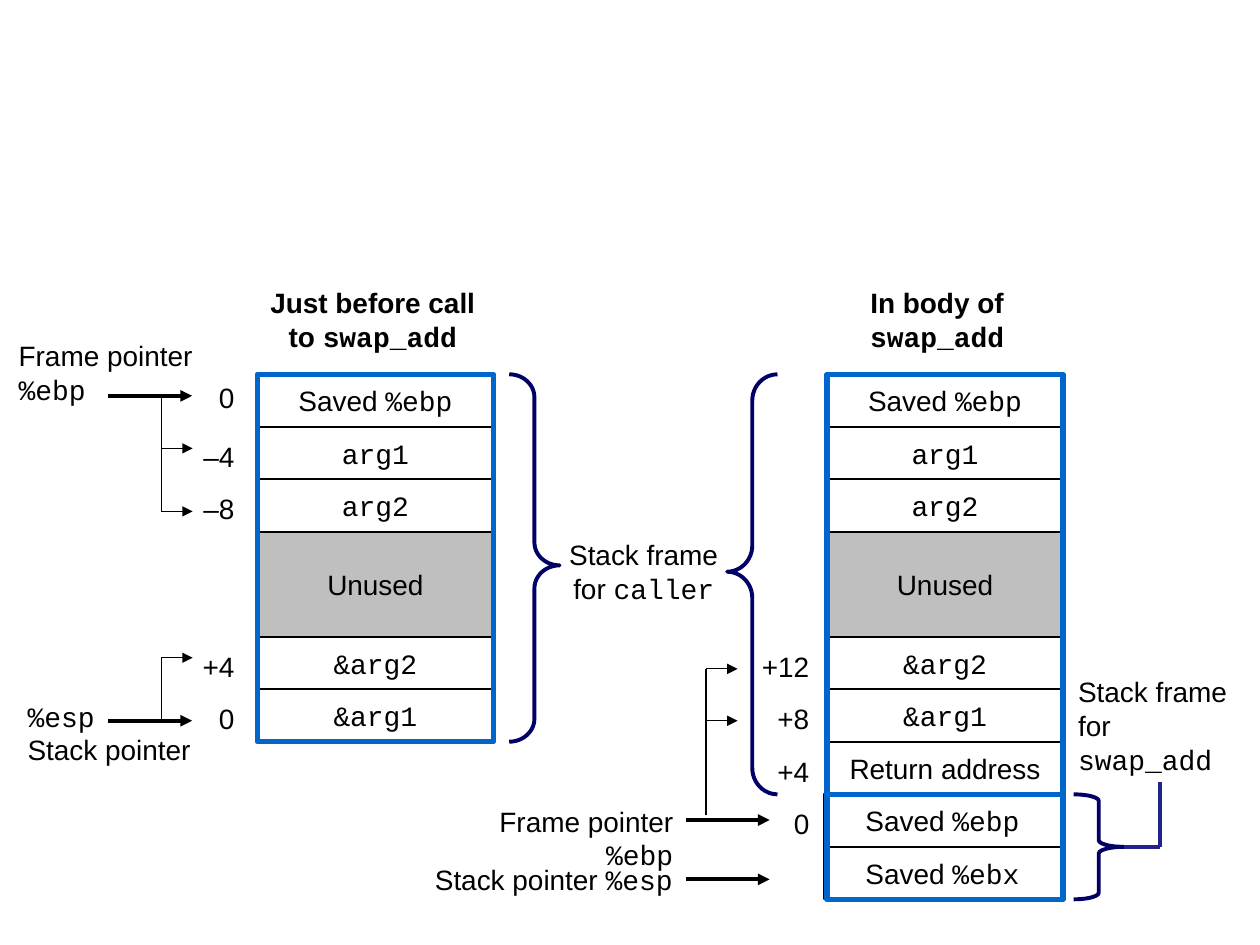
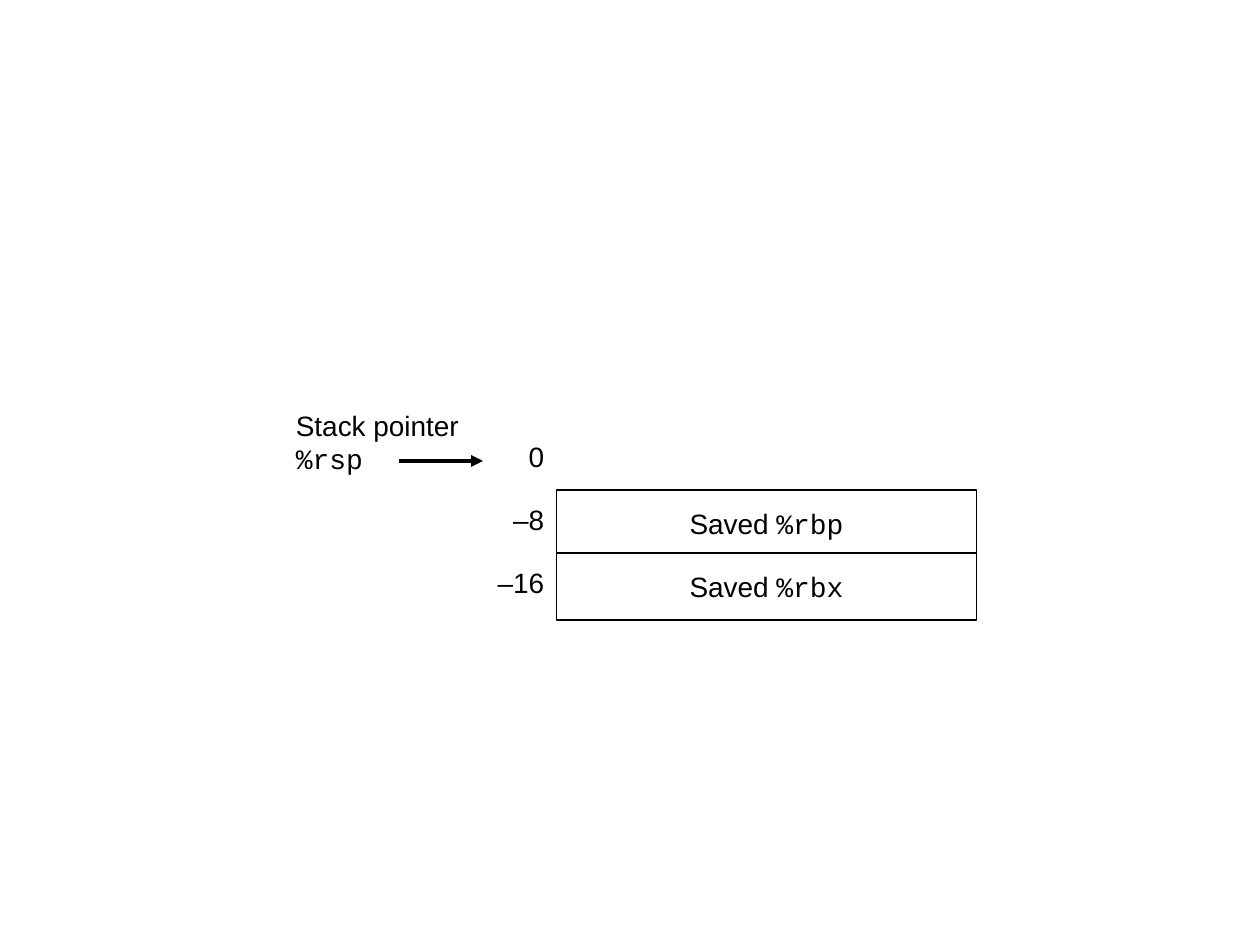
from dataclasses import dataclass
from typing import NamedTuple, Optional

from lxml import etree
from pptx import Presentation
from pptx import util as u
from pptx.dml.color import RGBColor
from pptx.enum import shapes, text
from pptx.oxml.ns import qn

BLACK = RGBColor(0x00, 0x00, 0x00)
WHITE = RGBColor(0xFF, 0xFF, 0xFF)
GREY = RGBColor(0xBF, 0xBF, 0xBF)
BLUE = RGBColor(0x00, 0x66, 0xCC)
NAVY = RGBColor(0x00, 0x00, 0x66)
INDIGO = RGBColor(0x22, 0x22, 0x8B)

BODY_FONT, CODE_FONT = "Arial", "Courier New"
FONT_SIZE = u.Pt(16)
SLIDE_WIDTH, SLIDE_HEIGHT = u.Inches(10), u.Inches(7.5)
COLUMNS, ROWS = 24, 18
STACK_TOP = 7.13
STACK_WIDTH = 4.5
POINTER_LENGTH, BRANCH_LENGTH = 1.6, 0.6
BRACE_WIDTH = 0.96
LEFT, CENTER, RIGHT = text.PP_ALIGN.LEFT, text.PP_ALIGN.CENTER, text.PP_ALIGN.RIGHT


class Cell(NamedTuple):
    words: str
    rows: int = 1
    fill: RGBColor = WHITE


@dataclass
class Stack:
    left: float
    top: float
    cells: list[Cell]
    width: float = STACK_WIDTH
    pitch: float = 1
    overlap: float = 0


@dataclass
class Label:
    words: str
    left: float
    top: float
    width: float
    lines: int = 1
    align: text.PP_ALIGN = LEFT
    bold: bool = False
    wrap: bool = True


class Line(NamedTuple):
    start: tuple[float, float]
    end: tuple[float, float]
    weight: float = 0.75
    arrow: bool = False
    color: RGBColor = BLACK


class Brace(NamedTuple):
    preset: shapes.MSO_SHAPE
    left: float
    top: float
    rows: float
    tip: float


CALLER_CELLS = [
    Cell("Saved `%ebp`"), Cell("`arg1`"), Cell("`arg2`"),
    Cell("Unused", 2, GREY), Cell("`&arg2`"), Cell("`&arg1`"),
]
SWAP_ADD_TOP = STACK_TOP + 8
BEFORE_LEFT, BODY_LEFT = 4.9, 15.75


def x(columns: float) -> int:
    return round(SLIDE_WIDTH * columns / COLUMNS)


def y(rows: float) -> int:
    return round(SLIDE_HEIGHT * rows / ROWS)


def box(left: float, top: float, width: float, height: float) -> tuple[int, int, int, int]:
    return x(left), y(top), x(width), y(height)


def write(frame, words: str, align: text.PP_ALIGN, bold: bool = False) -> None:
    for number, line in enumerate(words.split("\n")):
        paragraph = frame.add_paragraph() if number else frame.paragraphs[0]
        paragraph.alignment = align
        for part, piece in enumerate(line.split("`")):
            if piece:
                run = paragraph.add_run()
                run.text = piece
                run.font.name = CODE_FONT if part % 2 else BODY_FONT
                run.font.size = FONT_SIZE
                run.font.bold = bold
                run.font.color.rgb = BLACK


def draw_shape(slide, preset: shapes.MSO_SHAPE, area: tuple[int, int, int, int],
               color: RGBColor, weight: float, fill: Optional[RGBColor] = None):
    shape = slide.shapes.add_shape(preset, *area)
    shape.shadow.inherit = False
    if fill is None:
        shape.fill.background()
    else:
        shape.fill.solid()
        shape.fill.fore_color.rgb = fill
    shape.line.color.rgb = color
    shape.line.width = u.Pt(weight)
    return shape


def draw_stack(slide, stack: Stack) -> None:
    top = stack.top
    for cell in stack.cells:
        height = cell.rows * stack.pitch
        area = box(stack.left, top, stack.width, height + stack.overlap)
        shape = draw_shape(slide, shapes.MSO_SHAPE.RECTANGLE, area, BLACK, 1, cell.fill)
        shape.text_frame.word_wrap = False
        shape.text_frame.vertical_anchor = text.MSO_ANCHOR.MIDDLE
        write(shape.text_frame, cell.words, CENTER)
        top += height


def draw_outline(slide, left: float, top: float, rows: float) -> None:
    area = box(left, top, STACK_WIDTH, rows)
    draw_shape(slide, shapes.MSO_SHAPE.RECTANGLE, area, BLUE, 3)


def draw_brace(slide, brace: Brace) -> None:
    area = box(brace.left, brace.top, BRACE_WIDTH, brace.rows)
    shape = draw_shape(slide, brace.preset, area, NAVY, 2.25)
    shape.adjustments[0] = brace.rows / BRACE_WIDTH / 16
    shape.adjustments[1] = brace.tip


def draw_label(slide, label: Label) -> None:
    height = 0.24 + 0.65 * label.lines
    frame = slide.shapes.add_textbox(
        *box(label.left, label.top, label.width, height)).text_frame
    frame.word_wrap = label.wrap
    frame.auto_size = text.MSO_AUTO_SIZE.SHAPE_TO_FIT_TEXT
    write(frame, label.words, label.align, label.bold)


def draw_offsets(slide, left: float, width: float, offsets: dict[str, float]) -> None:
    for words, top in offsets.items():
        draw_label(slide, Label(words, left, top, width, align=RIGHT))


def draw_line(slide, line: Line) -> None:
    connector = slide.shapes.add_connector(
        shapes.MSO_CONNECTOR.STRAIGHT,
        x(line.start[0]), y(line.start[1]), x(line.end[0]), y(line.end[1]))
    connector.line.color.rgb = line.color
    connector.line.width = u.Pt(line.weight)
    properties = connector._element.spPr
    if line.arrow:
        outline = properties.find(qn("a:ln"))
        etree.SubElement(outline, qn("a:tailEnd"), type="triangle")
    etree.SubElement(properties, qn("a:effectLst"))


def pointer(left: float, row: float) -> Line:
    return Line((left, row), (left + POINTER_LENGTH, row), 2.25, True)


def branch(left: float, start: float, *targets: float) -> list[Line]:
    arrows = [Line((left, row), (left + BRANCH_LENGTH, row), arrow=True) for row in targets]
    far = max(targets, key=lambda row: abs(row - start))
    return [Line((left, start), (left, far)), *arrows]


def build_call_frames(slide) -> None:
    swap_add = Stack(15.7, SWAP_ADD_TOP, [Cell("Saved `%ebp`"), Cell("Saved `%ebx`")])
    draw_stack(slide, swap_add)
    draw_outline(slide, BODY_LEFT, SWAP_ADD_TOP, 2)
    draw_stack(slide, Stack(BEFORE_LEFT, STACK_TOP, CALLER_CELLS))
    draw_outline(slide, BEFORE_LEFT, STACK_TOP, 7)
    body_cells = [*CALLER_CELLS, Cell("Return address")]
    draw_stack(slide, Stack(BODY_LEFT, STACK_TOP, body_cells))
    draw_outline(slide, BODY_LEFT, STACK_TOP, 8)

    right_brace, left_brace = shapes.MSO_SHAPE.RIGHT_BRACE, shapes.MSO_SHAPE.LEFT_BRACE
    for brace in (
        Brace(right_brace, 9.7, STACK_TOP, 7, 0.52),
        Brace(left_brace, 13.85, STACK_TOP, 8, 0.47),
        Brace(right_brace, 20.45, SWAP_ADD_TOP, 2, 0.5),
    ):
        draw_brace(slide, brace)

    for label in (
        Label("Just before call\nto `swap_add`", 4.9, 5.33, 4.4, 2, CENTER, True),
        Label("In body of\n`swap_add`", 15.65, 5.33, 4.4, 2, CENTER, True),
        Label("Frame pointer\n`%ebp`", 0.12, 6.34, 3.8, 2, wrap=False),
        Label("`%esp`\nStack pointer", 0.29, 13.2, 3.58, 2, wrap=False),
        Label("Stack frame\nfor `caller`", 10.06, 10.13, 4.4, 2, CENTER),
        Label("Frame pointer `%ebp`", 7.86, 15.2, 5.2, align=RIGHT, wrap=False),
        Label("Stack pointer `%esp`", 7.85, 16.32, 5.2, align=RIGHT),
        Label("Stack frame\nfor `swap_add`", 20.3, 12.74, 3.6, 3),
    ):
        draw_label(slide, label)

    draw_offsets(slide, 2.9, 1.8, {"0": 7.13, "–4": 8.25, "–8": 9.25, "+4": 12.25})
    draw_offsets(slide, 2.9, 1.8, {"0": 13.25})
    draw_offsets(slide, 13.85, 1.8, {"+12": 12.25, "+8": 13.25, "+4": 14.25, "0": 15.25})

    for line in (
        pointer(2.06, 7.54),
        pointer(2.06, 13.73),
        pointer(13.06, 15.62),
        pointer(13.06, 16.75),
        *branch(3.07, 7.54, 8.54, 9.74),
        *branch(3.07, 13.73, 12.53),
        *branch(13.45, 15.53, 13.73, 12.74),
        Line((21.41, 16.13), (22.1, 16.13), 2.25, color=INDIGO),
        Line((22.1, 16.13), (22.1, 14.9), 2.25, color=INDIGO),
    ):
        draw_line(slide, line)


def build_saved_registers(slide) -> None:
    saved = [Cell("Saved `%rbp`"), Cell("Saved `%rbx`")]
    draw_stack(slide, Stack(10.6, 9.34, saved, width=8, pitch=1.2, overlap=0.07))
    draw_label(slide, Label("Stack pointer\n`%rsp`", 5.4, 7.66, 3.58, 2, wrap=False))
    draw_line(slide, pointer(7.6, 8.78))
    offsets = {words: 8.26 + 1.2 * step for step, words in enumerate(("0", "–8", "–16"))}
    draw_offsets(slide, 9.2, 1.4, offsets)


def main() -> None:
    deck = Presentation()
    deck.slide_width, deck.slide_height = SLIDE_WIDTH, SLIDE_HEIGHT
    blank = deck.slide_layouts[6]
    for build in (build_call_frames, build_saved_registers):
        build(deck.slides.add_slide(blank))
    deck.save("out.pptx")


if __name__ == "__main__":
    main()
